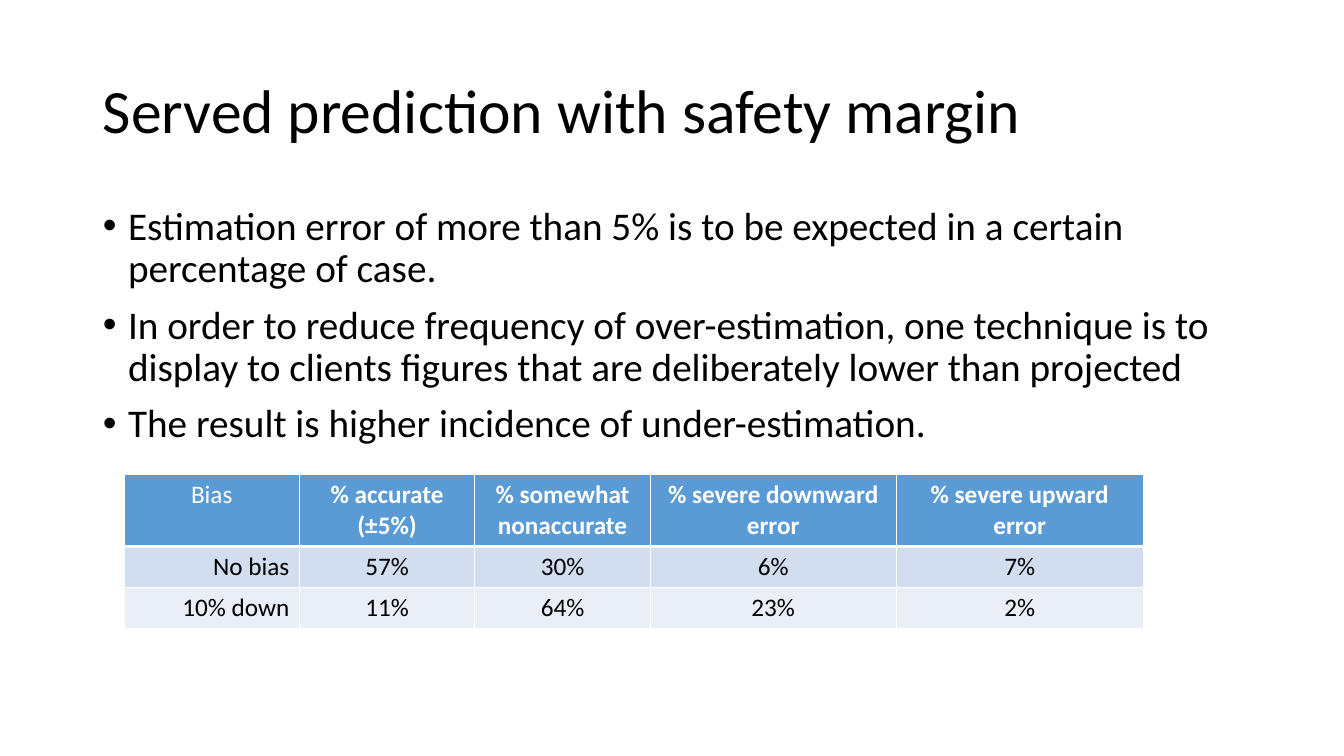
"""Build a slide on served predictions with a safety margin."""
from dataclasses import dataclass

from lxml import etree
from pptx import Presentation
from pptx.dml import color
from pptx.enum import text
from pptx.oxml import ns
from pptx.util import Inches, Pt

HUES = {"ink": "000000", "paper": "FFFFFF", "head": "5B9BD5",
        "odd": "D2DEEF", "even": "EAEFF7"}
FONT = "Calibri"
LEFT, MID, RIGHT = (text.PP_ALIGN.LEFT, text.PP_ALIGN.CENTER,
                    text.PP_ALIGN.RIGHT)
TITLE = "Served prediction with safety margin"
POINTS = [
    "Estimation error of more than 5% is to be expected in a certain "
    "percentage of case.",
    "In order to reduce frequency of over-estimation, one technique is to "
    "display to clients figures that are deliberately lower than projected",
    "The result is higher incidence of under-estimation.",
]
WIDTHS = [1.74, 1.74, 1.74, 2.44, 2.45]


@dataclass
class Row:
    """One table row with its look."""
    cells: list[str]
    high: float
    fill: str
    ink: str = "ink"
    first: text.PP_ALIGN = RIGHT
    bold: bool = False
    top: float = 1
    base: float = 1


ROWS = [
    Row(["Bias", "% accurate (±5%)", "% somewhat nonaccurate",
         "% severe downward error", "% severe upward error"],
        0.7, "head", "paper", MID, True, base=3),
    Row(["No bias", "57%", "30%", "6%", "7%"], 0.41, "odd", top=3),
    Row(["10% down", "11%", "64%", "23%", "2%"], 0.41, "even"),
]


def hue(name: str) -> color.RGBColor:
    """Look up a colour by name."""
    return color.RGBColor.from_string(HUES[name])


def write(para, words: str, size: float, ink: str = "ink",
          bold: bool = False, align=LEFT) -> None:
    """Add one formatted run to a paragraph."""
    para.alignment = align
    run = para.add_run()
    run.text = words
    font = run.font
    font.name, font.size, font.bold = FONT, Pt(size), bold
    font.color.rgb = hue(ink)


def place(shape, left: float, top: float, wide: float, high: float):
    """Move a placeholder and return its text frame."""
    shape.left, shape.top = Inches(left), Inches(top)
    shape.width, shape.height = Inches(wide), Inches(high)
    frame = shape.text_frame
    frame.word_wrap = True
    frame.auto_size = text.MSO_AUTO_SIZE.NONE
    return frame


def edge(cell, side: str, wide: float) -> None:
    """Draw one white cell border."""
    line = etree.SubElement(cell._tc.get_or_add_tcPr(), ns.qn(f"a:{side}"),
                            w=str(Pt(wide)))
    fill = etree.SubElement(line, ns.qn("a:solidFill"))
    etree.SubElement(fill, ns.qn("a:srgbClr"), val=HUES["paper"])


def add_list(frame) -> None:
    """Fill the body with bullet points."""
    for i, words in enumerate(POINTS):
        para = frame.add_paragraph() if i else frame.paragraphs[0]
        para.line_spacing, para.space_before = 0.9, Pt(10)
        write(para, words, 28)
        props = para._p.get_or_add_pPr()
        props.set("marL", str(Inches(0.25)))
        props.set("indent", str(Inches(-0.25)))


def add_grid(slide) -> None:
    """Draw the table of error rates."""
    grid = slide.shapes.add_table(
        len(ROWS), len(WIDTHS), Inches(1.23), Inches(4.71),
        Inches(sum(WIDTHS)), Inches(sum(r.high for r in ROWS))).table
    for col, wide in zip(grid.columns, WIDTHS):
        col.width = Inches(wide)
    for y, row in enumerate(ROWS):
        grid.rows[y].height = Inches(row.high)
        for x, words in enumerate(row.cells):
            cell = grid.cell(y, x)
            for side, wide in (("lnL", 1), ("lnR", 1),
                               ("lnT", row.top), ("lnB", row.base)):
                edge(cell, side, wide)
            cell.fill.solid()
            cell.fill.fore_color.rgb = hue(row.fill)
            write(cell.text_frame.paragraphs[0], words, 18, row.ink,
                  row.bold and x > 0, MID if x else row.first)


def main() -> None:
    """Build and save the slide."""
    deck = Presentation()
    deck.slide_width, deck.slide_height = Inches(13.33), Inches(7.5)
    slide = deck.slides.add_slide(deck.slide_layouts[1])
    head = place(slide.shapes.title, 0.92, 0.4, 11.5, 1.45)
    head.vertical_anchor = text.MSO_ANCHOR.MIDDLE
    head.paragraphs[0].line_spacing = 0.9
    write(head.paragraphs[0], TITLE, 44)
    add_list(place(slide.placeholders[1], 0.92, 2, 11.5, 4.76))
    add_grid(slide)
    deck.save("out.pptx")


if __name__ == "__main__":
    main()
